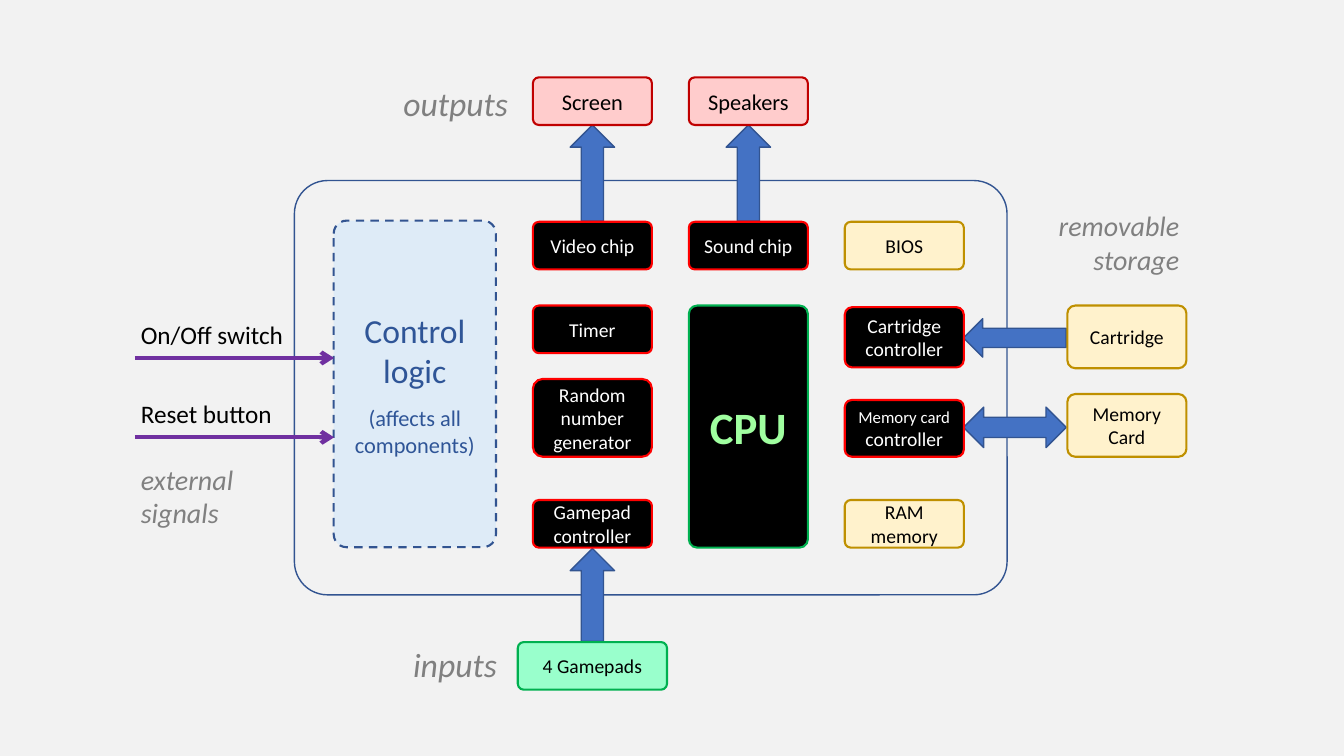
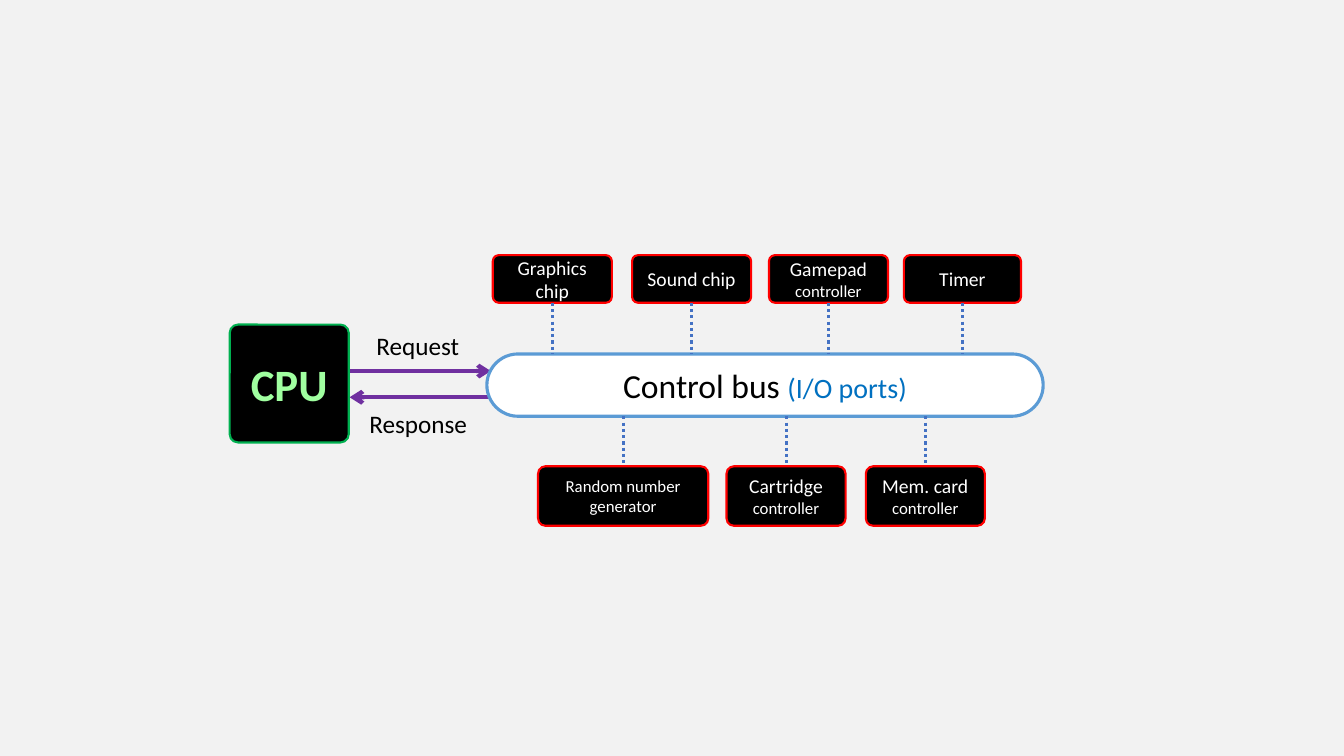
from dataclasses import dataclass

from lxml import etree
from pptx import Presentation
from pptx import util as u
from pptx.dml import color
from pptx.enum import dml, shapes, text
from pptx.oxml import ns

LEFT, CENTER, RIGHT = text.PP_ALIGN.LEFT, text.PP_ALIGN.CENTER, text.PP_ALIGN.RIGHT


@dataclass(frozen=True)
class BoxStyle:
    fill: str | None
    line: str
    ink: str = "000000"
    width: float = 1.5
    corner: float = 0.125
    bold: bool = False
    dash: object = None


class Theme:
    """Colours and type sizes shared by the slides."""
    font = "Calibri"
    page, black, grey = "F2F2F2", "000000", "808080"
    signal, drop, arrow, port = "7030A0", "4472C4", "4472C4", "0070C0"
    edge = "325491"
    # Type sizes in points
    small, body, medium, label, group, title, huge = 12, 14, 16, 18, 20, 24, 32
    # Box styles
    chip = BoxStyle("000000", "FF0000", "FFFFFF")
    cpu = BoxStyle("000000", "00B050", "A0FFA0", corner=0.07, bold=True)
    memory = BoxStyle("FFF2CC", "BF9000")
    output = BoxStyle("FFCCCC", "C00000")
    input = BoxStyle("99FFCC", "00B050")
    chassis = BoxStyle(None, edge, width=1, corner=0.08)
    logic = BoxStyle("DEEBF7", edge, "2F5597", corner=0.08,
                     dash=dml.MSO_LINE.DASH)
    bus = BoxStyle("FFFFFF", "5B9BD5", width=2.25, corner=0.5)


def rgb(value):
    return color.RGBColor.from_string(value)


class Diagram:
    """Holds the deck, the theme and the current slide; lengths are in cm."""

    def __init__(self, theme):
        self.theme = theme
        self.deck = Presentation()
        self.deck.slide_width, self.deck.slide_height = u.Cm(33.87), u.Cm(19.05)
        self.slide = None

    def new_slide(self):
        self.slide = self.deck.slides.add_slide(self.deck.slide_layouts[6])
        fill = self.slide.background.fill
        fill.solid()
        fill.fore_color.rgb = rgb(self.theme.page)

    def set_text(self, frame, paragraphs, ink, align, bold=False, italic=False, gap=0):
        """Each paragraph is a list of (text, size) or (text, size, ink) spans."""
        frame.word_wrap = True
        frame.vertical_anchor = text.MSO_ANCHOR.MIDDLE
        for index, spans in enumerate(paragraphs):
            para = frame.add_paragraph() if index else frame.paragraphs[0]
            para.alignment = align
            para.space_before = u.Pt(gap if index else 0)
            para.font.name = self.theme.font
            para.font.bold, para.font.italic = bold, italic
            para.font.size = u.Pt(spans[0][1])
            para.font.color.rgb = rgb(ink)
            for words, size, *own_ink in spans:
                span = para.add_run()
                span.text = words
                if size != spans[0][1]:
                    span.font.size = u.Pt(size)
                if own_ink:
                    span.font.color.rgb = rgb(own_ink[0])

    def preset(self, kind, place, fill, line, width):
        shape = self.slide.shapes.add_shape(kind, *map(u.Cm, place))
        shape.shadow.inherit = False
        if fill:
            shape.fill.solid()
            shape.fill.fore_color.rgb = rgb(fill)
        else:
            shape.fill.background()
        shape.line.color.rgb = rgb(line)
        shape.line.width = u.Pt(width)
        return shape

    def box(self, style, place, *paragraphs, gap=0):
        box = self.preset(shapes.MSO_SHAPE.ROUNDED_RECTANGLE, place,
                          style.fill, style.line, style.width)
        box.adjustments[0] = style.corner
        if style.dash:
            box.line.dash_style = style.dash
        if paragraphs:
            self.set_text(box.text_frame, paragraphs, style.ink, CENTER,
                          bold=style.bold, gap=gap)

    def block_arrow(self, kind, place):
        self.preset(kind, place, self.theme.arrow, self.theme.edge, 1)

    def label(self, place, size, *lines, ink=Theme.black, align=LEFT, italic=False):
        frame = self.slide.shapes.add_textbox(*map(u.Cm, place)).text_frame
        self.set_text(frame, [[(line, size)] for line in lines], ink, align,
                      italic=italic)
        frame.auto_size = text.MSO_AUTO_SIZE.SHAPE_TO_FIT_TEXT

    def group_label(self, place, size, *lines, align=LEFT):
        self.label(place, size, *lines, ink=self.theme.grey, align=align, italic=True)

    def connector(self, start, end, ink, width):
        line = self.slide.shapes.add_connector(
            shapes.MSO_CONNECTOR.STRAIGHT, *map(u.Cm, (*start, *end)))
        line.line.color.rgb = rgb(ink)
        line.line.width = u.Pt(width)
        etree.SubElement(line._element.spPr, ns.qn("a:effectLst"))
        return line

    def signal(self, start, end):
        line = self.connector(start, end, self.theme.signal, 3)
        outline = line._element.spPr.find(ns.qn("a:ln"))
        etree.SubElement(outline, ns.qn("a:tailEnd"), type="arrow")

    def drop(self, x, top, bottom):
        line = self.connector((x, top), (x, bottom), self.theme.drop, 2.25)
        line.line.dash_style = dml.MSO_LINE.ROUND_DOT


BOX_W, BOX_H = 3.0, 1.2


def draw_console(diagram):
    theme = diagram.theme
    diagram.new_slide()
    columns = [13.43 + 3.93 * index for index in range(3)]
    outside = 26.9
    top, middle, bottom = 5.59, 7.7, 12.6

    # Chassis and control logic
    diagram.box(theme.chassis, (7.42, 4.55, 17.96, 10.44))
    diagram.box(theme.logic, (8.41, 5.56, 4.09, 8.23),
                [("Control logic", theme.title)],
                [("(affects all components)", theme.medium)], gap=10)

    # Block arrows
    arrow_w = 1.12
    for column, y, height in ((0, 3.15, 2.42), (1, 3.15, 2.42), (0, 13.82, 2.34)):
        x = columns[column] + (BOX_W - arrow_w) / 2
        diagram.block_arrow(shapes.MSO_SHAPE.UP_ARROW, (x, y, arrow_w, height))
    diagram.block_arrow(shapes.MSO_SHAPE.LEFT_ARROW, (24.28, 8.03, 2.59, 0.97))
    diagram.block_arrow(shapes.MSO_SHAPE.LEFT_RIGHT_ARROW, (24.28, 10.26, 2.59, 1.02))

    # Components: style, left, top, height, size, words
    for style, x, y, height, size, words in (
        (theme.output, columns[0], 1.95, BOX_H, theme.medium, "Screen"),
        (theme.output, columns[1], 1.95, BOX_H, theme.medium, "Speakers"),
        (theme.chip, columns[0], top, BOX_H, theme.body, "Video chip"),
        (theme.chip, columns[1], top, BOX_H, theme.body, "Sound chip"),
        (theme.memory, columns[2], top, BOX_H, theme.body, "BIOS"),
        (theme.chip, columns[0], middle, BOX_H, theme.body, "Timer"),
        (theme.chip, columns[0], 9.55, 1.96, theme.body, "Random number generator"),
        (theme.chip, columns[0], bottom, BOX_H, theme.body, "Gamepad controller"),
        (theme.cpu, columns[1], middle, 6.1, theme.huge, "CPU"),
        (theme.chip, columns[2], 7.74, 1.52, theme.body, "Cartridge controller"),
        (theme.memory, columns[2], bottom, BOX_H, theme.body, "RAM memory"),
        (theme.memory, outside, middle, 1.58, theme.body, "Cartridge"),
        (theme.memory, outside, 9.93, 1.58, theme.body, "Memory Card"),
    ):
        diagram.box(style, (x, y, BOX_W, height), [(words, size)])
    diagram.box(theme.chip, (columns[2], 10.08, BOX_W, 1.43),
                [("Memory card ", theme.small), ("controller", theme.body)])
    diagram.box(theme.input, (13.05, 16.18, 3.76, BOX_H),
                [("4 Gamepads", theme.body)])

    # External signals
    for y, words in ((9.02, "On/Off switch"), (11.02, "Reset button")):
        diagram.label((3.3, y - 1.1, 4.9, 1.02), theme.label, words)
        diagram.signal((3.4, y), (8.42, y))

    # Group labels
    diagram.group_label((10.16, 16.1, 2.95, 1.27), theme.title, "inputs")
    diagram.group_label((9.42, 1.96, 3.63, 1.27), theme.title, "outputs", align=RIGHT)
    diagram.group_label((3.3, 11.51, 5.46, 1.96), theme.group, "external", "signals")
    diagram.group_label((25.83, 5.13, 4.14, 1.96), theme.group,
                        "removable storage", align=RIGHT)


def draw_control_bus(diagram):
    theme = diagram.theme
    diagram.new_slide()
    bus_top, bus_h = 8.92, 1.57
    bus_bottom = bus_top + bus_h
    upper, lower, lower_h = 6.43, 11.75, 1.5

    # CPU with request and response
    diagram.box(theme.cpu, (5.79, 8.18, BOX_W, 2.97), [("CPU", theme.huge)])
    diagram.label((9.02, 8.2, 3.02, 1.02), theme.label, "Request", align=CENTER)
    diagram.label((8.84, 10.16, 3.4, 1.02), theme.label, "Response", align=CENTER)
    diagram.signal((8.81, 9.35), (12.37, 9.35))
    diagram.signal((12.37, 10.01), (8.81, 10.01))

    # Control bus
    diagram.box(theme.bus, (12.27, bus_top, 14.02, bus_h),
                [("Control bus ", theme.title),
                 ("(I/O ports)", theme.group, theme.port)])

    # Devices above and below the bus, each with its dotted drop
    controller = (" controller", theme.small)
    above = (
        (12.42, BOX_W, [("Graphics chip", theme.body)]),
        (15.93, BOX_W, [("Sound chip", theme.body)]),
        (19.38, BOX_W, [("Gamepad", theme.body), controller]),
        (22.78, 2.95, [("Timer", theme.body)]),
    )
    below = (
        (13.56, 4.29, [("Random number generator", theme.small)]),
        (18.31, BOX_W, [("Cartridge", theme.body), controller]),
        (21.82, BOX_W, [("Mem. card", theme.body), controller]),
    )
    for devices, y, height, drop_ends in (
        (above, upper, BOX_H, (upper + BOX_H, bus_top)),
        (below, lower, lower_h, (bus_bottom, lower)),
    ):
        for x, width, spans in devices:
            diagram.box(theme.chip, (x, y, width, height), spans)
            diagram.drop(x + width / 2, *drop_ends)


def main():
    diagram = Diagram(Theme)
    draw_console(diagram)
    draw_control_bus(diagram)
    diagram.deck.save("out.pptx")


if __name__ == "__main__":
    main()
